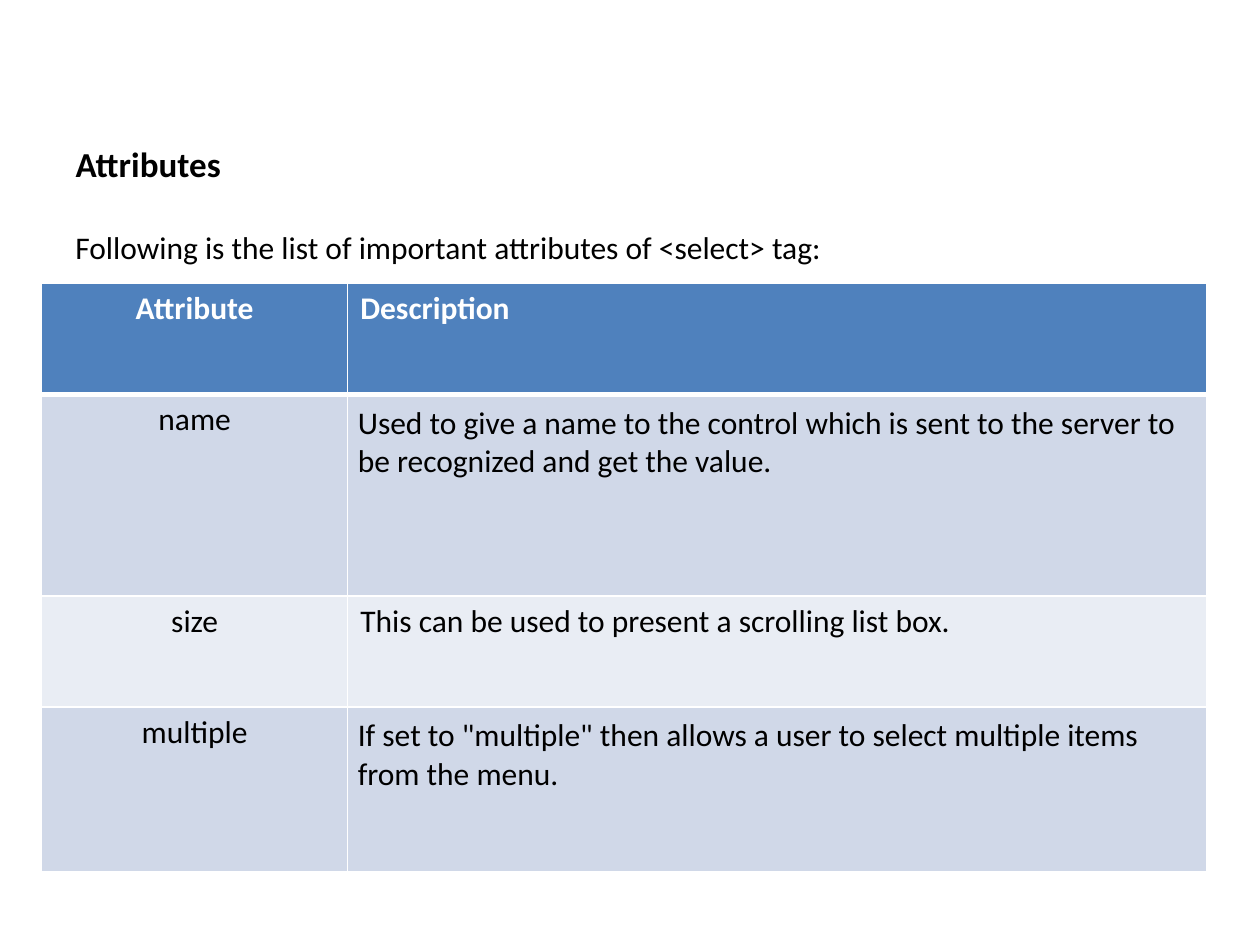
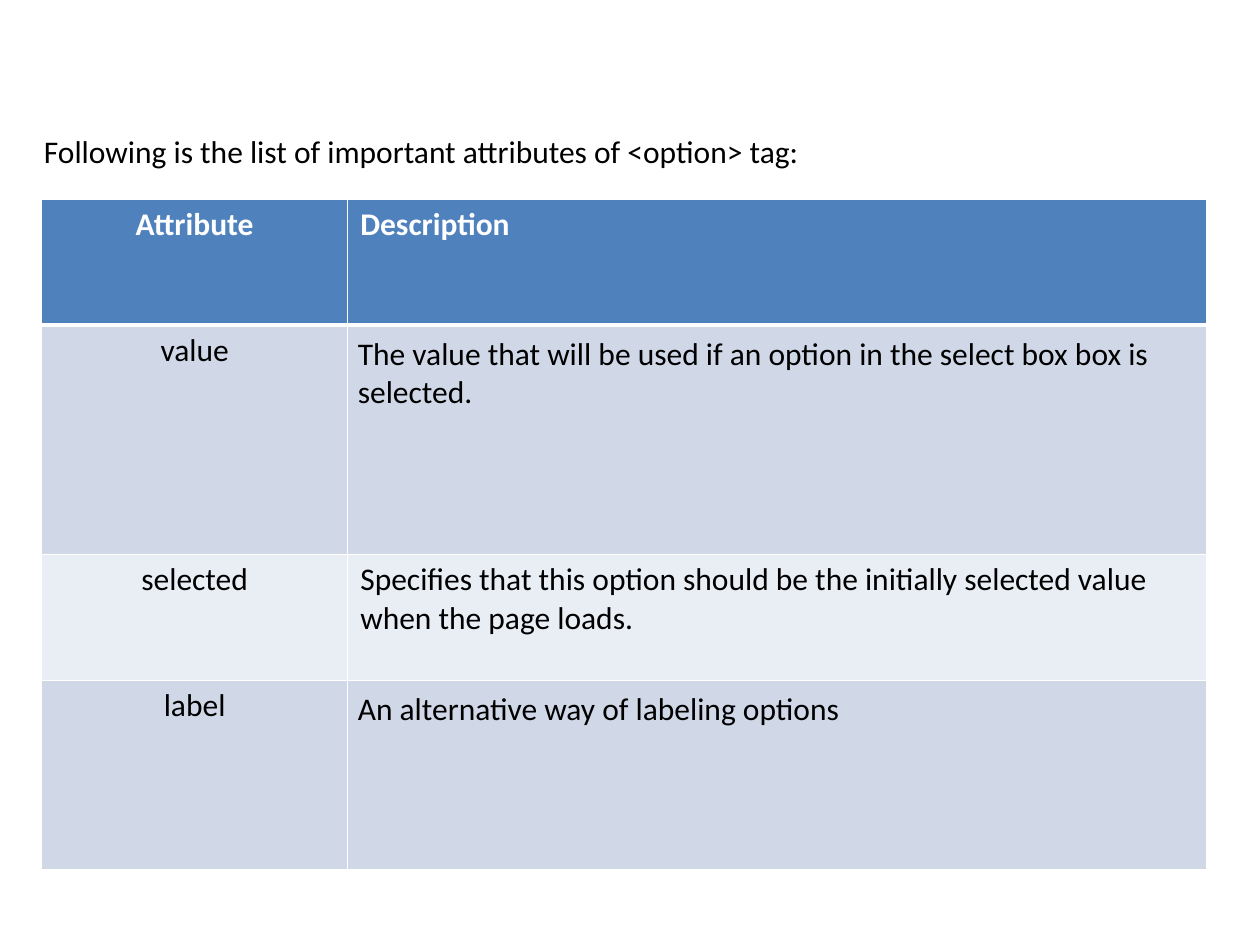
from lxml.etree import SubElement
from pptx import Presentation
from pptx.dml.color import RGBColor
from pptx.enum.text import MSO_ANCHOR, MSO_AUTO_SIZE, PP_ALIGN
from pptx.oxml.ns import qn
from pptx.util import Inches, Pt

COLOURS = {
    "text": "000000",
    "header_text": "FFFFFF",
    "header": "4F81BD",
    "band_dark": "D0D8E8",
    "band_light": "E9EDF4",
    "border": "FFFFFF",
}
FONT = "Calibri"
BODY_SIZE = 18
HEADING_SIZE = 20
COLUMN_WIDTHS = (2.43, 6.82)
HEADER_ROW = ("Attribute", "Description")
FRAME_FORMAT = {
    "word_wrap": True,
    "auto_size": MSO_AUTO_SIZE.NONE,
    "vertical_anchor": MSO_ANCHOR.TOP,
}
WIDE_MARGINS = {
    f"margin_{side}": Inches(0.08) for side in ("left", "top", "right", "bottom")
}
TITLE_ONLY_LAYOUT = 5
BLANK_LAYOUT = 6


def set_attributes(target, values):
    """Set every attribute in a dict of format values."""
    for name, value in values.items():
        setattr(target, name, value)


def write_text(text_frame, text, size=BODY_SIZE, bold=False, colour="text", align=PP_ALIGN.LEFT):
    """Write one formatted paragraph into a text frame."""
    paragraph = text_frame.paragraphs[0]
    paragraph.alignment = align
    run = paragraph.add_run()
    run.text = text
    set_attributes(run.font, {"name": FONT, "size": Pt(size), "bold": bold})
    run.font.color.rgb = RGBColor.from_string(COLOURS[colour])


def place_title(slide, box, text):
    """Move the title placeholder into its box and format it."""
    title = slide.shapes.title
    left, top, width, height = map(Inches, box)
    set_attributes(title, {"left": left, "top": top, "width": width, "height": height})
    set_attributes(title.text_frame, FRAME_FORMAT)
    write_text(title.text_frame, text, HEADING_SIZE, bold=True)


def add_intro(slide, box, tag):
    """Add the sentence that introduces the attributes of a tag."""
    shape = slide.shapes.add_textbox(*map(Inches, box))
    set_attributes(shape.text_frame, FRAME_FORMAT)
    write_text(shape.text_frame, f"Following is the list of important attributes of <{tag}> tag:")


def set_borders(cell, widths):
    """Draw the left, right, top and bottom borders of a cell."""
    properties = cell._tc.get_or_add_tcPr()
    for side, width in zip("LRTB", widths):
        line = SubElement(properties, qn(f"a:ln{side}"), w=str(Pt(width)))
        fill = SubElement(line, qn("a:solidFill"))
        SubElement(fill, qn("a:srgbClr"), val=COLOURS["border"])


def format_cell(cell, row, column, text):
    """Fill, border and label one cell according to its place in the table."""
    is_header = row == 0
    is_dark = row % 2 == 1
    set_borders(cell, (1, 1, 3 if row == 1 else 1, 3 if is_header else 1))
    cell.fill.solid()
    fill_name = "header" if is_header else "band_dark" if is_dark else "band_light"
    cell.fill.fore_color.rgb = RGBColor.from_string(COLOURS[fill_name])
    if is_dark and column == 1:
        set_attributes(cell, WIDE_MARGINS)
    write_text(
        cell.text_frame,
        text,
        bold=is_header,
        colour="header_text" if is_header else "text",
        align=PP_ALIGN.CENTER if column == 0 else PP_ALIGN.LEFT,
    )


def add_attribute_table(slide, box, row_heights, attributes):
    """Add the table of attributes and their descriptions."""
    rows = (HEADER_ROW, *attributes)
    frame = slide.shapes.add_table(len(rows), len(HEADER_ROW), *map(Inches, box))
    table = frame.table
    for column, width in zip(table.columns, COLUMN_WIDTHS):
        column.width = Inches(width)
    for table_row, height in zip(table.rows, row_heights):
        table_row.height = Inches(height)
    for row, texts in enumerate(rows):
        for column, text in enumerate(texts):
            format_cell(table.cell(row, column), row, column, text)


def add_select_slide(presentation):
    """Build the slide on the attributes of the select tag."""
    slide = presentation.slides.add_slide(presentation.slide_layouts[TITLE_ONLY_LAYOUT])
    place_title(slide, (0.5, 1.08, 9.17, 0.45), "Attributes")
    add_intro(slide, (0.5, 1.76, 9.17, 0.45), "select")
    add_attribute_table(slide, (0.33, 2.25, 9.25, 4.67), (0.88, 1.6, 0.88, 1.31), (
        ("name", "Used to give a name to the control which is sent to the server "
                 "to be recognized and get the value."),
        ("size", "This can be used to present a scrolling list box."),
        ("multiple", 'If set to "multiple" then allows a user to select multiple '
                     "items from the menu."),
    ))


def add_option_slide(presentation):
    """Build the slide on the attributes of the option tag."""
    slide = presentation.slides.add_slide(presentation.slide_layouts[BLANK_LAYOUT])
    add_intro(slide, (0.25, 1, 9.75, 0.45), "option")
    add_attribute_table(slide, (0.33, 1.58, 9.25, 5.32), (1, 1.82, 1, 1.5), (
        ("value", "The value that will be used if an option in the select box box "
                  "is selected."),
        ("selected", "Specifies that this option should be the initially selected "
                     "value when the page loads."),
        ("label", "An alternative way of labeling options"),
    ))


def main():
    """Build and save the presentation."""
    presentation = Presentation()
    set_attributes(presentation, {"slide_width": Inches(10), "slide_height": Inches(7.5)})
    add_select_slide(presentation)
    add_option_slide(presentation)
    presentation.save("out.pptx")


if __name__ == "__main__":
    main()
